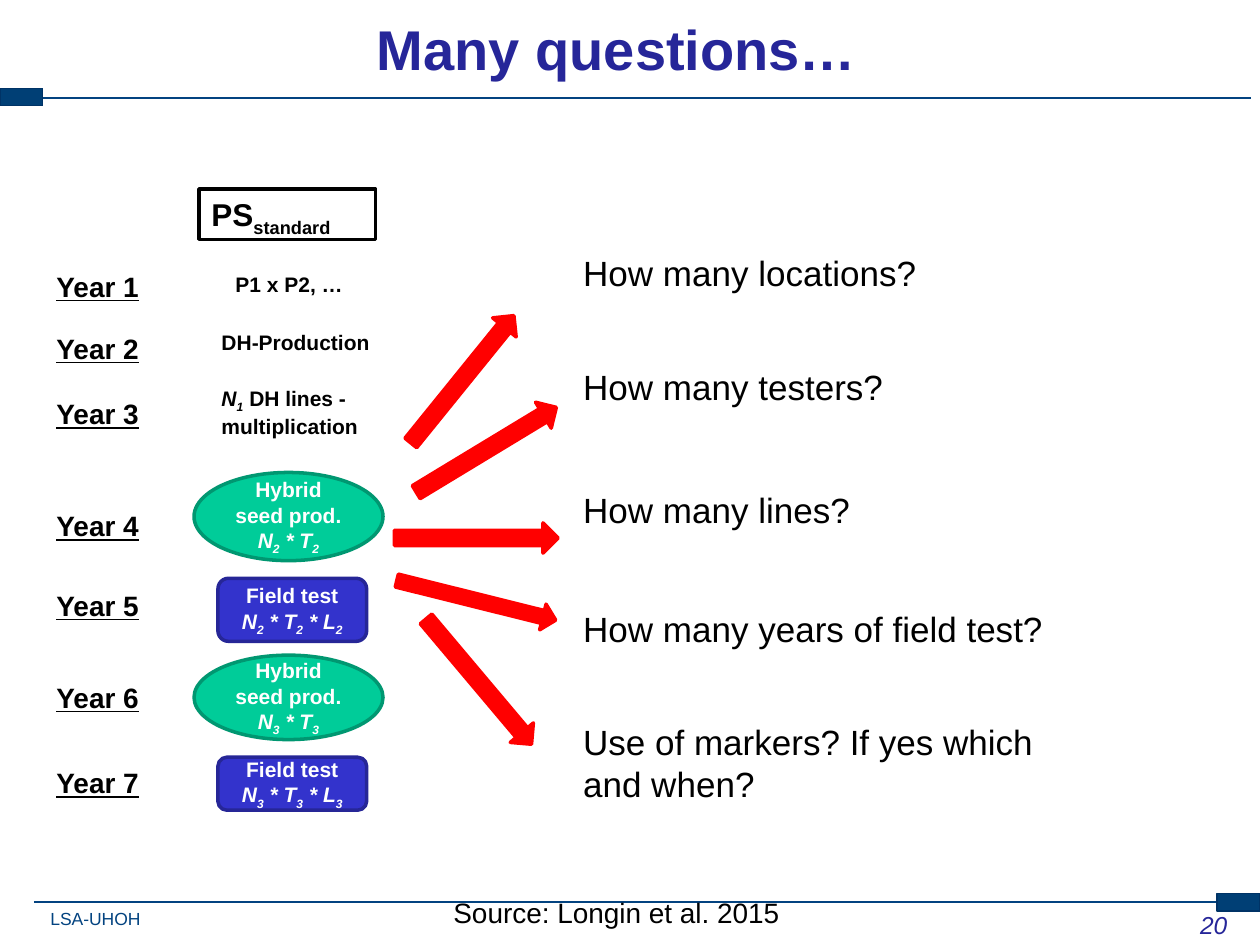
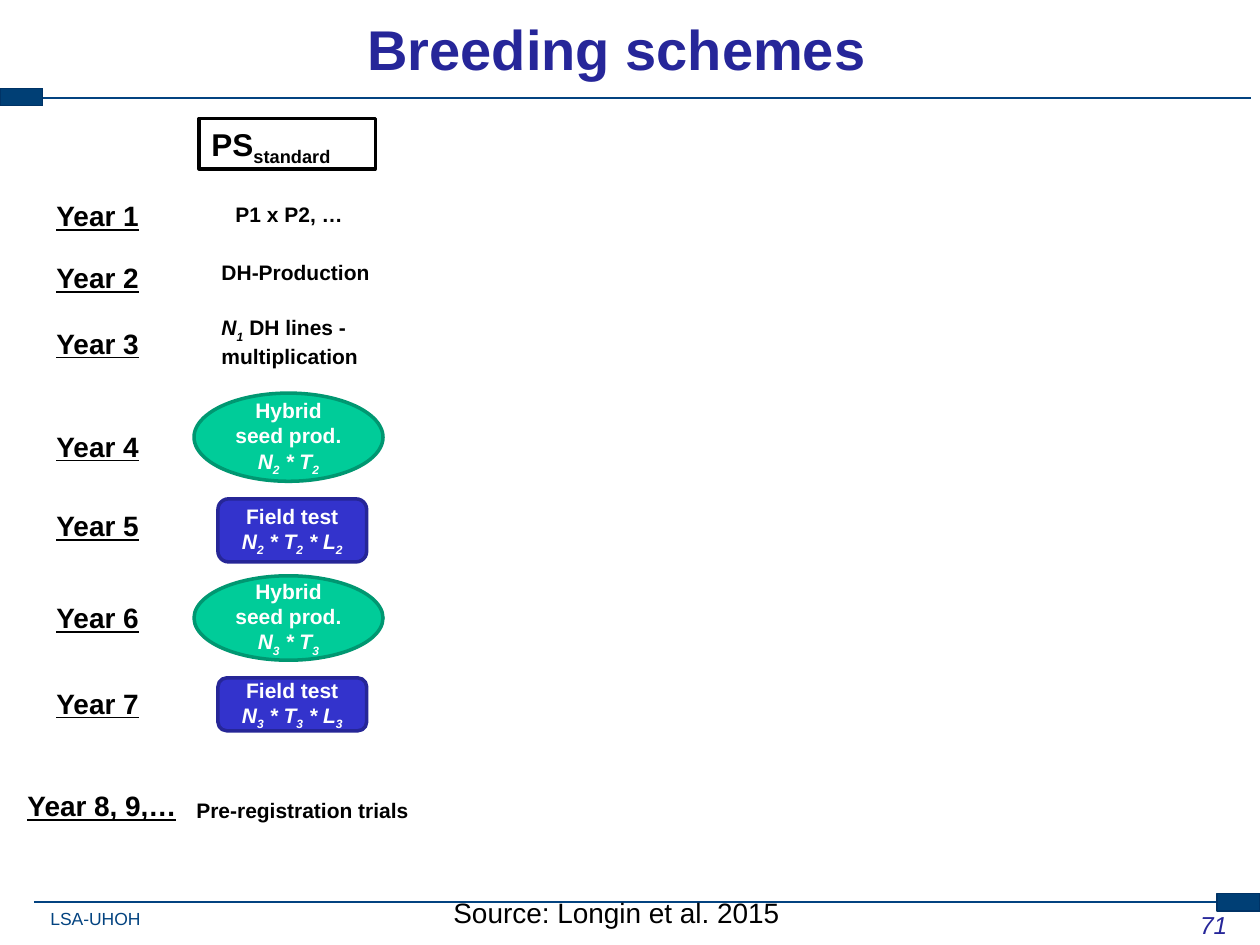
from lxml import etree
from pptx import Presentation
from pptx.dml.color import RGBColor
from pptx.enum.shapes import MSO_CONNECTOR, MSO_SHAPE as SHAPE
from pptx.enum.text import MSO_ANCHOR as ANCHOR, MSO_AUTO_SIZE as AUTO, PP_ALIGN as ALIGN
from pptx.oxml.ns import qn
from pptx.util import Inches, Pt

BLACK = RGBColor(0x00, 0x00, 0x00)
WHITE = RGBColor(0xFF, 0xFF, 0xFF)
RED = RGBColor(0xFF, 0x00, 0x00)
TITLE_BLUE = RGBColor(0x26, 0x26, 0x99)
RULE_BLUE = RGBColor(0x03, 0x43, 0x80)
BAND_BLUE = RGBColor(0x00, 0x3F, 0x75)
BAND_EDGE = RGBColor(0x00, 0x33, 0x66)
GREEN = RGBColor(0x00, 0xCC, 0x99)
GREEN_EDGE = RGBColor(0x00, 0x97, 0x71)
BLUE = RGBColor(0x33, 0x33, 0xCC)
BLUE_EDGE = RGBColor(0x26, 0x26, 0x97)

# Tops below the scheme's own origin: the crossing years, then the testing years
YEAR_TOPS = [0.59, 1.08, 1.6]
TEST_YEAR_TOPS = [0.24, 0.87, 1.6, 2.28]
# Stage number, ellipse top and height, field test top and height
TEST_STAGES = [(2, 0, 0.7, 0.84, 0.5), (3, 1.45, 0.67, 2.26, 0.42)]

# Question, its top and width, then the arrow's left, top, height and rotation
QUESTIONS = [
    ("How many locations?", 1.95, 2.99, 3.02, 2.89, 0.24, 309),
    ("How many lines?", 3.83, 2.99, 3.13, 4.15, 0.24, 0),
    ("How many testers?", 2.85, 2.99, 3.21, 3.45, 0.24, 328.8),
    ("How many years of field test?", 4.77, 4.17, 3.13, 4.66, 0.21, 14),
    ("Use of markers? If yes which and when?", 5.67, 4.17, 3.15, 5.29, 0.24, 49.9),
]


class Deck:
    font = "Arial"

    def __init__(self):
        self.prs = Presentation()
        self.prs.slide_width, self.prs.slide_height = Inches(10), Inches(7.5)
        self.slide = None

    def fill_paragraph(self, p, text, size, color=BLACK, bold=False, italic=False,
                       underline=False, align=ALIGN.LEFT):
        """Fill a paragraph; every second part between bars is a subscript."""
        p.alignment = align
        font = p.font
        font.name, font.size, font.color.rgb = self.font, Pt(size), color
        font.bold, font.italic, font.underline = bold, italic, underline
        for i, part in enumerate(text.split("|")):
            if part:
                r = p.add_run()
                r.text = part
                if i % 2:
                    r._r.get_or_add_rPr().set("baseline", "-25000")

    def text(self, x, y, w, h, text, size, wrap=True, grow=True, **style):
        sp = self.slide.shapes.add_textbox(Inches(x), Inches(y), Inches(w), Inches(h))
        tf = sp.text_frame
        tf.word_wrap = wrap
        tf.auto_size = AUTO.SHAPE_TO_FIT_TEXT if grow else AUTO.NONE
        self.fill_paragraph(tf.paragraphs[0], text, size, **style)
        return tf

    def shape(self, kind, x, y, w, h, fill, edge, width=2):
        sp = self.slide.shapes.add_shape(kind, Inches(x), Inches(y), Inches(w), Inches(h))
        sp.shadow.inherit = False
        sp.fill.solid()
        sp.fill.fore_color.rgb = fill
        sp.line.color.rgb, sp.line.width = edge, Pt(width)
        return sp

    def rule(self, x1, x2, y):
        line = self.slide.shapes.add_connector(
            MSO_CONNECTOR.STRAIGHT, Inches(x1), Inches(y), Inches(x2), Inches(y))
        line.line.color.rgb, line.line.width = RULE_BLUE, Pt(1)
        etree.SubElement(line._element.spPr, qn("a:effectLst"))

    def add_slide(self, title, number):
        self.slide = self.prs.slides.add_slide(self.prs.slide_layouts[6])
        self.rule(0.27, 9.9, 7.16)
        footer = self.text(0.4, 7.21, 0.72, 0.17, "LSA-UHOH", 10, wrap=False, color=RULE_BLUE)
        footer.margin_left = footer.margin_right = footer.margin_top = footer.margin_bottom = 0
        self.rule(0.31, 9.93, 0.78)
        for x, y in [(9.66, 7.09), (0, 0.7)]:
            self.shape(SHAPE.RECTANGLE, x, y, 0.34, 0.14, BAND_BLUE, BAND_EDGE, 0.75)
        self.text(7.76, 7.17, 2.08, 0.5, str(number), 14, grow=False,
                  color=TITLE_BLUE, italic=True, align=ALIGN.RIGHT)
        tf = self.text(-0.2, -0.11, 10.19, 0.99, title, 32, grow=False,
                       color=TITLE_BLUE, bold=True, align=ALIGN.CENTER)
        tf.vertical_anchor = ANCHOR.MIDDLE
        self.text(3.5, 7.06, 2.88, 0.37, "Source: Longin et al. 2015", 16, wrap=False)

    def year(self, label, y, x=0.35, w=1.14):
        self.text(x, y, w, 0.37, label, 16, bold=True, underline=True)

    def step(self, x, y, w, h, label):
        return self.text(x, y, w, h, label, 12, bold=True)

    def stage(self, kind, x, y, w, h, fill, edge, name, formula):
        tf = self.shape(kind, x, y, w, h, fill, edge).text_frame
        tf.word_wrap = True
        tf.vertical_anchor = ANCHOR.MIDDLE
        style = dict(size=12, color=WHITE, bold=True, align=ALIGN.CENTER)
        self.fill_paragraph(tf.paragraphs[0], name, **style)
        self.fill_paragraph(tf.add_paragraph(), formula, italic=True, **style)

    def scheme(self, top, test_top):
        """Draw years 1 to 7, with the testing years starting at test_top."""
        self.step(1.77, top + 0.61, 1.18, 0.3, "P1 x P2, …")
        self.step(1.66, top + 1.07, 1.5, 0.3, "DH-Production")
        tf = self.step(1.66, top + 1.51, 1.34, 0.5, "N|1| DH lines - multiplication")
        for r in tf.paragraphs[0].runs[:2]:
            r.font.italic = True

        year_tops = [top + y for y in YEAR_TOPS] + [test_top + y for y in TEST_YEAR_TOPS]
        for number, y in enumerate(year_tops, 1):
            self.year(f"Year {number}", y)

        for n, seed_y, seed_h, field_y, field_h in TEST_STAGES:
            crosses = f"N|{n}| * T|{n}|"
            self.stage(SHAPE.OVAL, 1.54, test_top + seed_y, 1.5, seed_h,
                       GREEN, GREEN_EDGE, "Hybrid seed prod.", crosses)
            self.stage(SHAPE.ROUNDED_RECTANGLE, 1.73, test_top + field_y, 1.18, field_h,
                       BLUE, BLUE_EDGE, "Field test", f"{crosses} * L|{n}|")

        tf = self.shape(SHAPE.RECTANGLE, 1.58, top, 1.4, 0.4, WHITE, BLACK).text_frame
        tf.word_wrap = True
        tf.vertical_anchor = ANCHOR.TOP
        self.fill_paragraph(tf.paragraphs[0], "PS|standard|", 18, bold=True)

    def question(self, text, y, w, arrow_x, arrow_y, arrow_h, rotation):
        self.text(4.53, y, w, 0.44, text, 20)
        arrow = self.shape(SHAPE.RIGHT_ARROW, arrow_x, arrow_y, 1.3, arrow_h, RED, RED)
        arrow.rotation = rotation


def main():
    deck = Deck()

    deck.add_slide("Many questions…", 20)
    deck.scheme(1.5, 3.75)
    for question in QUESTIONS:
        deck.question(*question)

    deck.add_slide("Breeding schemes", 71)
    deck.scheme(0.94, 3.12)
    deck.year("Year 8, 9,…", 6.21, x=0.12, w=1.57)
    deck.step(1.46, 6.28, 2.01, 0.3, "Pre-registration trials")

    deck.prs.save("out.pptx")


if __name__ == "__main__":
    main()
